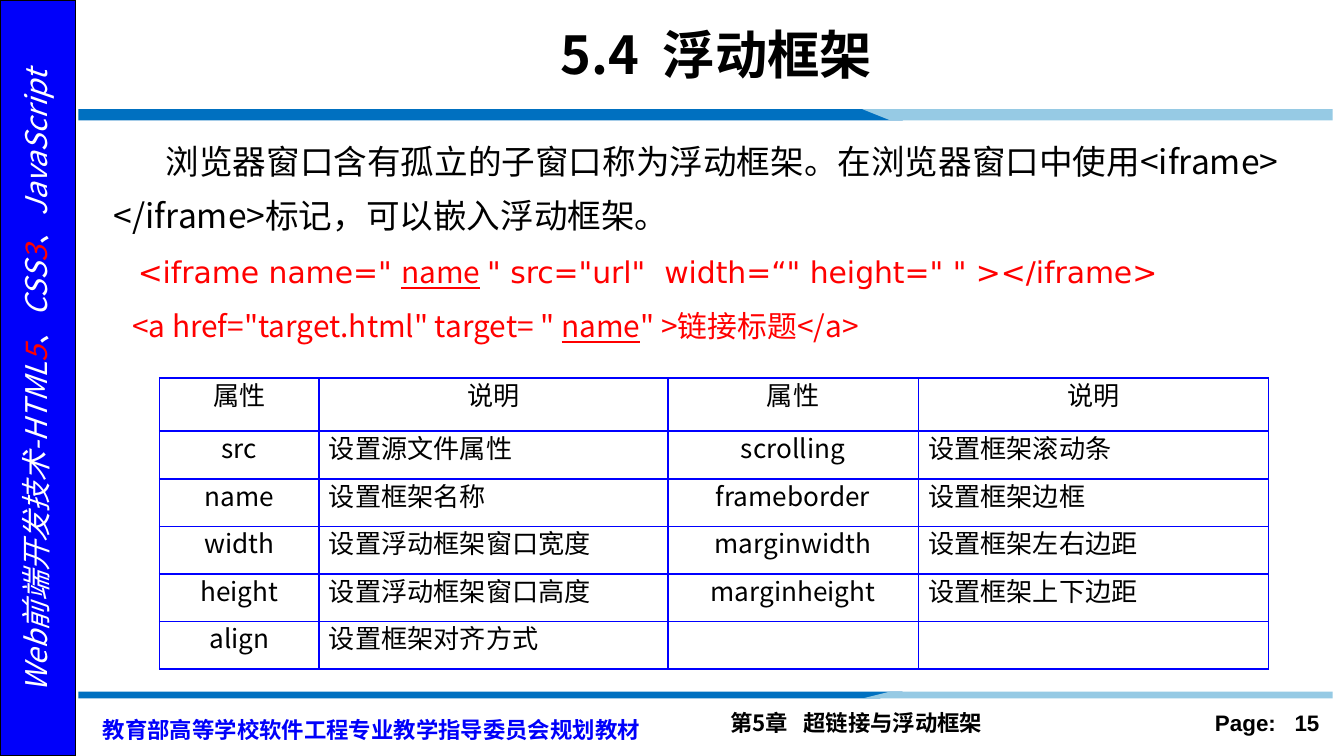
import lxml.etree
import pptx
import pptx.dml.color
import pptx.enum.shapes
import pptx.enum.text
import pptx.oxml.ns
import pptx.util

PX = 9525  # EMU in one px, 96 px to the inch
SANS = "Noto Sans CJK SC"
CODE = "DejaVu Sans"
COLORS = {
    "black": "000000", "white": "FFFFFF", "red": "FF0000", "navy": "0000FA",
    "grid": "0000FF", "band": "0070C0", "band_light": "96CAE4",
}
ALIGN = pptx.enum.text.PP_ALIGN

ATTRIBUTES = [
    ("属性", "说明", "属性", "说明"),
    ("src", "设置源文件属性", "scrolling", "设置框架滚动条"),
    ("name", "设置框架名称", "frameborder", "设置框架边框"),
    ("width", "设置浮动框架窗口宽度", "marginwidth", "设置框架左右边距"),
    ("height", "设置浮动框架窗口高度", "marginheight", "设置框架上下边距"),
    ("align", "设置框架对齐方式", "", ""),
]


def emu(*lengths):
    return [pptx.util.Emu(length * PX) for length in lengths]


def rgb(color):
    return pptx.dml.color.RGBColor.from_string(COLORS[color])


def set_font(font, size=None, color=None, name=None, bold=None, italic=None, underline=None):
    """Set what is given; the typeface also covers East Asian characters."""
    if size:
        font.size = pptx.util.Pt(size)
    if color:
        font.color.rgb = rgb(color)
    font.bold, font.italic, font.underline = bold, italic, underline
    if name:
        font.name = name
        east_asian = lxml.etree.SubElement(font._element, pptx.oxml.ns.qn("a:ea"))
        east_asian.set("typeface", name)


def fill_paragraph(paragraph, runs, align=ALIGN.LEFT, line_spacing=None,
                   space_before=0, margin=0, indent=0, **font):
    """Write runs, each a text and the font settings that differ from the paragraph."""
    paragraph.alignment = align
    paragraph.line_spacing = line_spacing
    paragraph.space_before = pptx.util.Pt(space_before)
    properties = paragraph._p.get_or_add_pPr()
    properties.set("marL", str(margin * PX))
    properties.set("indent", str(indent * PX))
    set_font(paragraph.font, **font)
    for text, changes in runs:
        run = paragraph.add_run()
        run.text = text
        if changes:
            set_font(run.font, **changes)


def add_text_box(slide, box, wrap=True, anchor=pptx.enum.text.MSO_ANCHOR.TOP):
    text_box = slide.shapes.add_textbox(*emu(*box))
    text_box.text_frame.word_wrap = wrap
    text_box.text_frame.vertical_anchor = anchor
    return text_box


def add_line_of_text(slide, box, text, anchor=pptx.enum.text.MSO_ANCHOR.TOP, **style):
    text_box = add_text_box(slide, box, anchor=anchor)
    fill_paragraph(text_box.text_frame.paragraphs[0], [(text, {})], bold=True, **style)


def add_sidebar(slide, box):
    left, top, width, height = box
    bar = slide.shapes.add_shape(pptx.enum.shapes.MSO_SHAPE.RECTANGLE, *emu(*box))
    bar.shadow.inherit = False
    bar.fill.solid()
    bar.fill.fore_color.rgb = rgb("navy")
    bar.line.color.rgb = rgb("black")
    bar.line.width = pptx.util.Pt(1)

    length, thickness = 498, 33
    title_box = (left + (width - length) // 2, top + 256, length, thickness)
    book_title = add_text_box(slide, title_box, wrap=False)
    book_title.rotation = 270
    red = {"color": "red"}
    runs = [("Web前端开发技术-HTML", {}), ("5", red), ("、CSS", {}), ("3", red),
            ("、JavaScript", {})]
    runs = [(text, {"italic": True, **changes}) for text, changes in runs]
    fill_paragraph(book_title.text_frame.paragraphs[0], runs, align=ALIGN.CENTER,
                   line_spacing=0.9, space_before=3.2, size=16, color="white",
                   name=SANS, italic=True)


def add_band(slide, box, flipped=False):
    """Draw a two-tone rule; flipped turns its slanted joint upside down."""
    left, top, width, height = box
    start, end = (top + height, top) if flipped else (top, top + height)
    right = left + width
    pieces = [
        ("band", [(left, start), (left + 572, start), (left + 589, end), (left, end)]),
        ("band_light", [(left + 560, start), (right, start), (right, end), (left + 580, end)]),
    ]
    for color, points in pieces:
        builder = slide.shapes.build_freeform(*points[0], scale=PX)
        builder.add_line_segments(points[1:], close=True)
        piece = builder.convert_to_shape()
        piece.shadow.inherit = False
        piece.fill.solid()
        piece.fill.fore_color.rgb = rgb(color)
        piece.line.fill.background()


def add_footer(slide, box):
    left, top, width, height = box
    add_line_of_text(slide, (left, top, 416, 34), "教育部高等学校软件工程专业教学指导委员会规划教材",
                     line_spacing=pptx.util.Pt(18), size=12, color="navy", name=SANS)
    add_line_of_text(slide, (left + 448, top, 316, height), "第5章   超链接与浮动框架",
                     size=12, color="black", name=SANS)
    add_line_of_text(slide, (left + width - 120, top, 120, height), "Page:   15",
                     align=ALIGN.RIGHT, size=12, color="black", name="Arial")


def add_explanation(slide, box):
    frame = add_text_box(slide, box).text_frame
    spacing = pptx.util.Pt(29)
    code = {"line_spacing": spacing, "size": 16, "color": "red"}
    underlined = {"name": SANS, "underline": True}
    fill_paragraph(
        frame.paragraphs[0],
        [("浏览器窗口含有孤立的子窗口称为浮动框架。在浏览器窗口中使用<iframe> </iframe>标记，可以嵌入浮动框架。", {})],
        line_spacing=spacing, indent=37, size=18, color="black", name=SANS)
    fill_paragraph(
        frame.add_paragraph(),
        [('<iframe name=" ', {}), ("name", underlined), (" ", {"name": SANS}),
         ('" src="url"  width=“" height=" " ></iframe>', {})],
        margin=17, name=CODE, **code)
    fill_paragraph(
        frame.add_paragraph(),
        [('<a href="target.html" target= " ', {}), ("name", underlined),
         ('" >链接标题</a>', {})],
        margin=13, name=SANS, **code)


def add_cell_borders(cell):
    properties = cell._tc.get_or_add_tcPr()
    for side in ("lnL", "lnR", "lnT", "lnB"):
        line = lxml.etree.SubElement(properties, pptx.oxml.ns.qn(f"a:{side}"), w="12700")
        fill = lxml.etree.SubElement(line, pptx.oxml.ns.qn("a:solidFill"))
        lxml.etree.SubElement(fill, pptx.oxml.ns.qn("a:srgbClr"), val=COLORS["grid"])


def add_attribute_table(slide, box):
    table = slide.shapes.add_table(len(ATTRIBUTES), 4, *emu(*box)).table
    table.first_row = table.horz_banding = False
    for column, width in zip(table.columns, emu(114, 249, 179, 250)):
        column.width = width
    for row, height in zip(table.rows, emu(38, 34, 34, 34, 34, 34)):
        row.height = height
    for row_index, texts in enumerate(ATTRIBUTES):
        for column_index, text in enumerate(texts):
            cell = table.cell(row_index, column_index)
            cell.margin_left, cell.margin_right, cell.margin_top, cell.margin_bottom = emu(7, 7, 0, 0)
            add_cell_borders(cell)
            cell.fill.background()
            centred = row_index == 0 or column_index % 2 == 0
            fill_paragraph(cell.text_frame.paragraphs[0], [(text, {})] if text else [],
                           align=ALIGN.CENTER if centred else ALIGN.JUSTIFY,
                           line_spacing=0.9, space_before=2.8, size=14,
                           color="black", name=SANS)


def main():
    presentation = pptx.Presentation()
    presentation.slide_width, presentation.slide_height = emu(960, 540)
    slide = presentation.slides.add_slide(presentation.slide_layouts[6])
    add_footer(slide, (64, 502, 888, 29))
    add_sidebar(slide, (0, 0, 54, 540))
    add_band(slide, (56, 78, 896, 8))
    add_band(slide, (56, 494, 896, 5), flipped=True)
    add_line_of_text(slide, (104, 8, 815, 60), "5.4  浮动框架",
                     anchor=pptx.enum.text.MSO_ANCHOR.MIDDLE, align=ALIGN.CENTER,
                     size=28, color="black", name=SANS)
    add_explanation(slide, (72, 86, 877, 144))
    add_attribute_table(slide, (114, 270, 792, 208))
    presentation.save("out.pptx")


if __name__ == "__main__":
    main()
